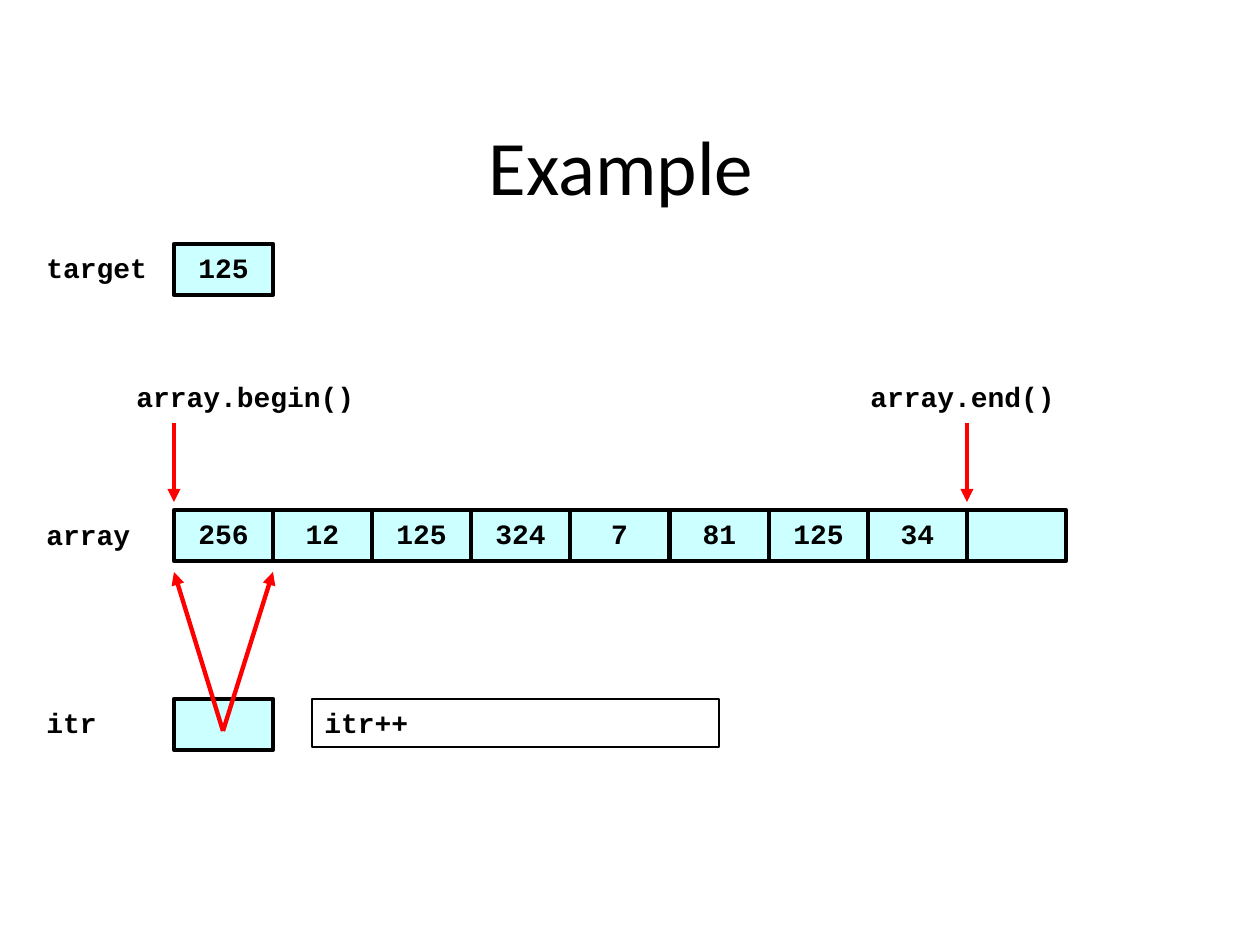
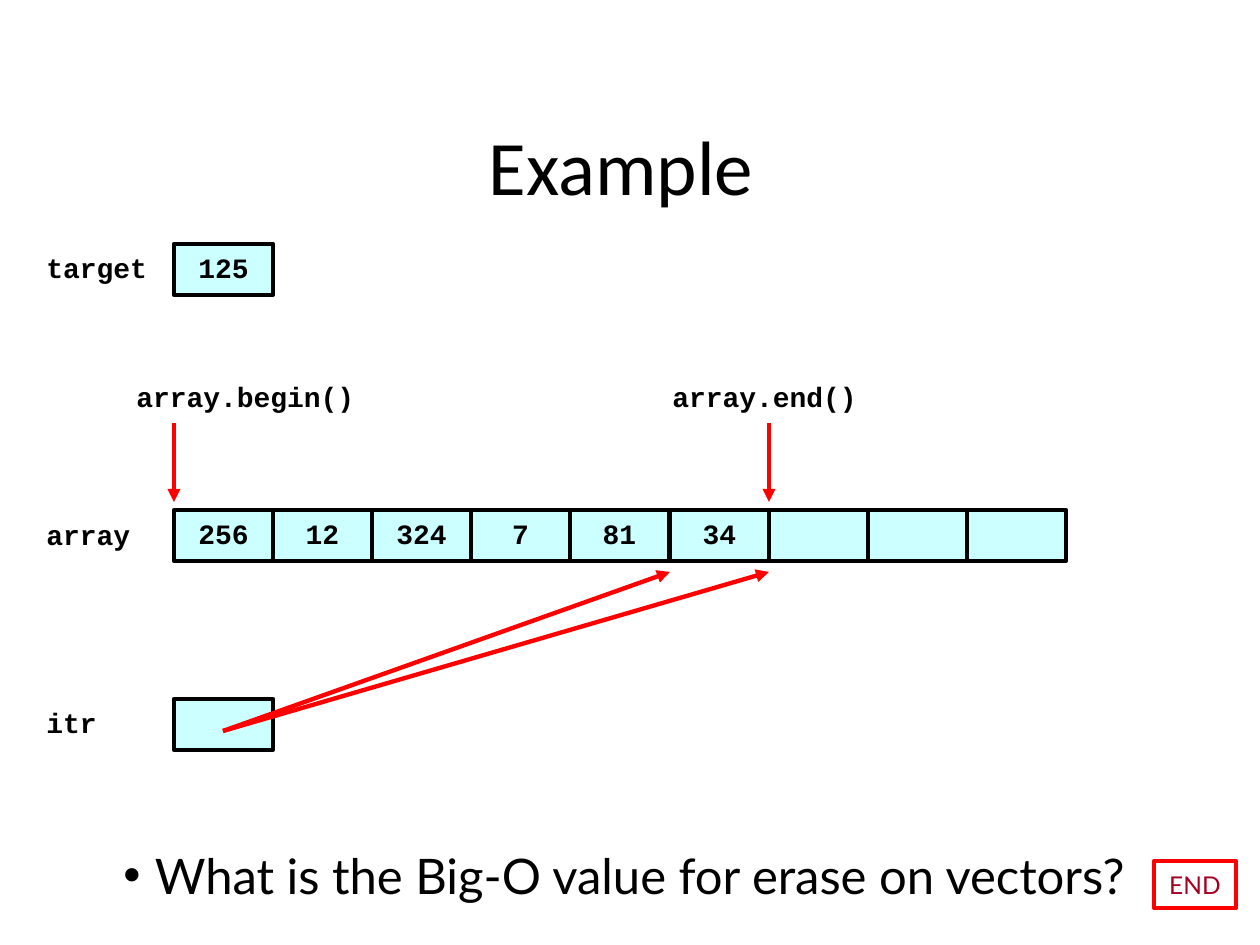
from lxml import etree
from pptx import Presentation
from pptx.dml.color import RGBColor
from pptx.enum.shapes import MSO_CONNECTOR, MSO_SHAPE
from pptx.enum.text import MSO_ANCHOR, PP_ALIGN
from pptx.oxml.ns import qn
from pptx.util import Pt

PX = 914400 / 126
RECTANGLE, STRAIGHT = MSO_SHAPE.RECTANGLE, MSO_CONNECTOR.STRAIGHT
LEFT, CENTER = PP_ALIGN.LEFT, PP_ALIGN.CENTER
TOP, MIDDLE = MSO_ANCHOR.TOP, MSO_ANCHOR.MIDDLE
color = RGBColor.from_string

BLACK, RED, DARK_RED, PALE_CYAN = "000000", "FF0000", "A50021", "CCFFFF"
CODE_FONT, TITLE_FONT, BODY_FONT = "Courier New", "Calibri", "Lato"
CELL_COUNT, CELL_HEIGHT, ARRAY_WIDTH = 9, 51, 893
LABEL_LEFT, LABEL_HEIGHT = 34, 47
TARGET_TOP, CALL_TOP, ARRAY_TOP, ITR_TOP = 244, 373, 510, 699
edges = [174 + ARRAY_WIDTH * i // CELL_COUNT for i in range(CELL_COUNT + 1)]
CELL_WIDTH = edges[1] - edges[0]


def add_box(slide, box, text="", align=LEFT, fill=None, line=None, line_width=2.5,
            font=CODE_FONT, size=16, bold=True, text_color=BLACK, anchor=TOP, before=8):
    """Add a rectangle with one paragraph; box is left, top, width, height in px."""
    shape = slide.shapes.add_shape(RECTANGLE, *[round(v * PX) for v in box])
    shape.shadow.inherit = False
    if fill:
        shape.fill.solid()
        shape.fill.fore_color.rgb = color(fill)
    else:
        shape.fill.background()
    if line:
        shape.line.color.rgb = color(line)
        shape.line.width = Pt(line_width)
    else:
        shape.line.fill.background()
    frame = shape.text_frame
    frame.word_wrap = True
    frame.vertical_anchor = anchor
    if text:
        frame.text = text
        paragraph = frame.paragraphs[0]
        paragraph.alignment = align
        paragraph.space_before = Pt(before)
        style = paragraph.runs[0].font
        style.name, style.size, style.bold = font, Pt(size), bold
        style.color.rgb = color(text_color)
    return shape


def add_arrow(slide, *ends):
    """Add a red arrow; ends are the start x, y and the tip x, y in px."""
    arrow = slide.shapes.add_connector(STRAIGHT, *[round(v * PX) for v in ends])
    arrow.line.color.rgb = color(RED)
    arrow.line.width = Pt(2.5)
    etree.SubElement(arrow.line._get_or_add_ln(), qn("a:tailEnd"), type="triangle")
    etree.SubElement(arrow._element.spPr, qn("a:effectLst"))


prs = Presentation()
prs.slide_width, prs.slide_height = round(1260 * PX), round(945 * PX)

# Values in the array, and the two cells the iterator moves between
steps = [
    (["256", "12", "125", "324", "7", "81", "125", "34"], (0, 1)),
    (["256", "12", "324", "7", "81", "34"], (5, 6)),
]
slides = []
for values, itr_cells in steps:
    slide = prs.slides.add_slide(prs.slide_layouts[6])
    slides.append(slide)
    add_box(slide, (54, 86, 1134, 157), "Example", CENTER, font=TITLE_FONT, size=44,
            bold=False, anchor=MIDDLE, before=0)

    cells = [(edges[0], TARGET_TOP, "125"), (edges[0], ITR_TOP, "")]
    padded = values + [""] * (CELL_COUNT - len(values))
    cells += [(left, ARRAY_TOP, value) for left, value in zip(edges, padded)]
    for left, top, value in cells:
        add_box(slide, (left, top, CELL_WIDTH, CELL_HEIGHT), value, CENTER,
                PALE_CYAN, BLACK)

    end_edge = edges[len(values)]
    labels = [
        (LABEL_LEFT, TARGET_TOP, 129, "target"),
        (LABEL_LEFT, ARRAY_TOP + 1, 139, "array"),
        (LABEL_LEFT, ITR_TOP, 129, "itr"),
        (edges[0] - 50, CALL_TOP, 297, "array.begin()"),
        (end_edge - 109, CALL_TOP, 218, "array.end()"),
    ]
    for left, top, width, name in labels:
        add_box(slide, (left, top, width, LABEL_HEIGHT), name)

    for edge in (edges[0], end_edge):
        add_arrow(slide, edge, 423, edge, 502)
    for cell in itr_cells:
        add_arrow(slide, 223, 731, edges[cell], 572)

increment_slide, question_slide = slides
add_box(increment_slide, (312, ITR_TOP, 407, 48), "itr++", line=BLACK, line_width=0.75)

add_box(question_slide, (1154, 861, 82, 47), "END", CENTER, line=RED, font=BODY_FONT,
        size=14, bold=False, text_color=DARK_RED, anchor=MIDDLE, before=2.8)
question = add_box(question_slide, (108, 839, 1032, 72),
                   "What is the Big-O value for erase on vectors?", CENTER,
                   font=BODY_FONT, size=28, bold=False, before=5.6)
bullet_props = question.text_frame.paragraphs[0]._p.get_or_add_pPr()
bullet_props.set("marL", "228600")
bullet_props.set("indent", "-228600")
etree.SubElement(bullet_props, qn("a:buFont"), typeface="Arial")
etree.SubElement(bullet_props, qn("a:buChar"), char="•")

prs.save("out.pptx")
